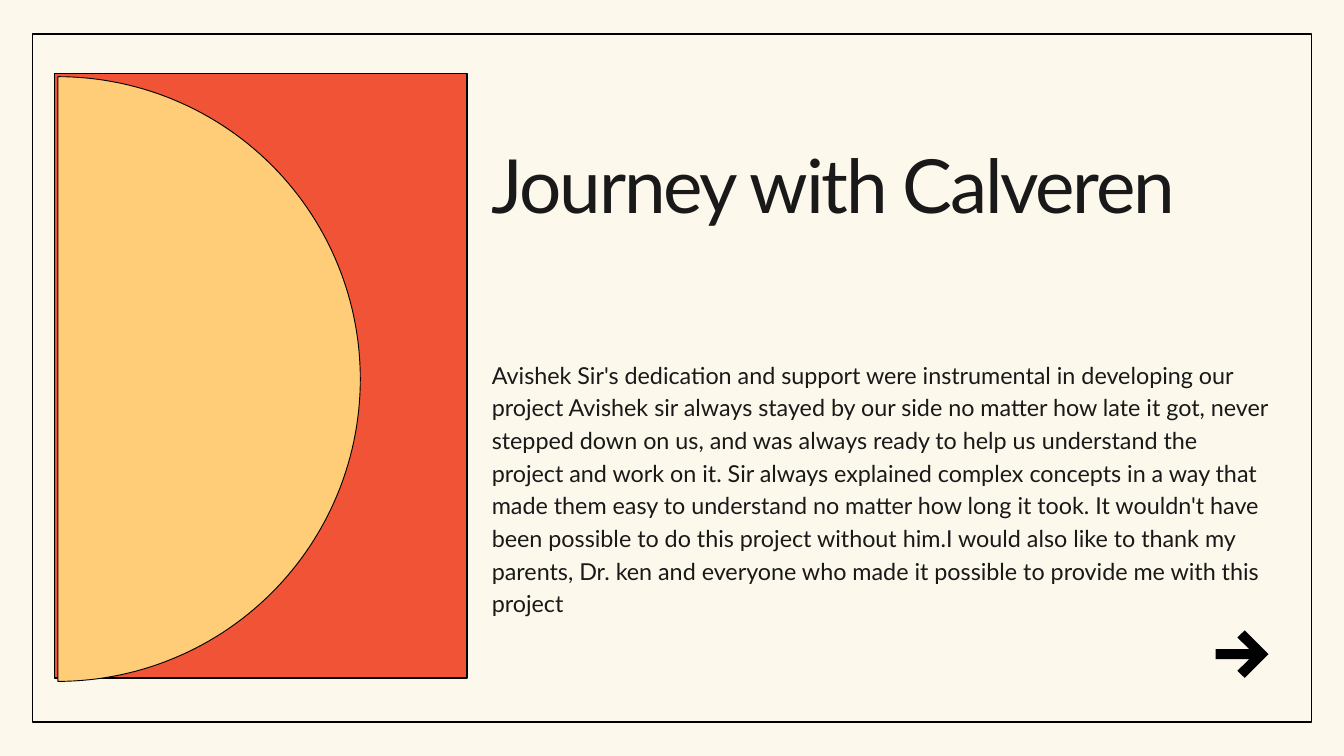
from math import cos, pi, sin

from pptx import Presentation
from pptx.dml.color import RGBColor
from pptx.enum.shapes import MSO_SHAPE
from pptx.enum.text import MSO_ANCHOR, MSO_AUTO_SIZE, PP_ALIGN
from pptx.oxml.ns import qn
from pptx.util import Cm, Pt

CREAM = RGBColor(0xFD, 0xF8, 0xEC)
RED = RGBColor(0xF0, 0x53, 0x35)
YELLOW = RGBColor(0xFF, 0xCD, 0x78)
BLACK = RGBColor(0, 0, 0)
INK = RGBColor(0x19, 0x19, 0x19)
FONT = "Lato"

HEADING = "Journey with Calveren"
THANKS = (
    "Avishek Sir's dedication and support were instrumental in developing our "
    "project Avishek sir always stayed by our side no matter how late it got, "
    "never stepped down on us, and was always ready to help us understand the "
    "project and work on it. Sir always explained complex concepts in a way "
    "that made them easy to understand no matter how long it took. It wouldn't "
    "have been possible to do this project without him.I would also like to "
    "thank my parents, Dr. ken and everyone who made it possible to provide me "
    "with this project"
)


def paint(shape, fill, line_width=None):
    shape.shadow.inherit = False
    shape.fill.solid()
    shape.fill.fore_color.rgb = fill
    if line_width is None:
        shape.line.fill.background()
    else:
        shape.line.color.rgb = BLACK
        shape.line.width = Pt(line_width)


def add_rectangle(slide, left, top, width, height, fill):
    rectangle = slide.shapes.add_shape(
        MSO_SHAPE.RECTANGLE, Cm(left), Cm(top), Cm(width), Cm(height))
    paint(rectangle, fill, 1.5)


def add_polygon(slide, left, top, points, fill, line_width=None):
    """Draw a closed outline from points relative to left and top."""
    outline = [(Cm(left + x), Cm(top + y)) for x, y in points]
    builder = slide.shapes.build_freeform(*outline[0])
    builder.add_line_segments(outline[1:], close=True)
    paint(builder.convert_to_shape(), fill, line_width)


def add_artwork(slide, left, top, width, height):
    """Red panel with a half disc as tall as the panel."""
    add_rectangle(slide, left, top, width, height, RED)
    radius, steps = height / 2, 120
    angles = [pi * step / steps - pi / 2 for step in range(steps + 1)]
    half_disc = [(radius * cos(a), radius * (1 + sin(a))) for a in angles]
    add_polygon(slide, left + 0.13, top + 0.13, half_disc, YELLOW, 1)


def add_next_arrow(slide, left, top, width, height):
    """Arrow pointing right, mirrored about its middle line."""
    middle, shaft = height / 2, 0.19
    upper = [(0, middle - shaft), (1.27, middle - shaft),
             (0.82, 0.27), (1.1, 0)]
    lower = [(x, height - y) for x, y in reversed(upper)]
    add_polygon(slide, left, top, upper + [(width, middle)] + lower, BLACK)


def fill_placeholder(holder, box, text, size, leading, tracking=None):
    holder.left, holder.top, holder.width, holder.height = map(Cm, box)
    # Bring the text in front of the shapes
    holder.element.getparent().append(holder.element)
    frame = holder.text_frame
    frame.text = text
    frame.word_wrap = True
    frame.auto_size = MSO_AUTO_SIZE.NONE
    frame.vertical_anchor = MSO_ANCHOR.TOP
    frame.margin_left = frame.margin_right = 0
    frame.margin_top = frame.margin_bottom = 0
    paragraph = frame.paragraphs[0]
    paragraph.alignment = PP_ALIGN.LEFT
    paragraph.line_spacing = Pt(leading)
    paragraph.space_before = Pt(0)
    # No bullet, no indent
    properties = paragraph._p.get_or_add_pPr()
    properties.set("marL", "0")
    properties.set("indent", "0")
    properties.append(properties.makeelement(qn("a:buNone"), {}))
    run = paragraph.runs[0]
    run.font.name = FONT
    run.font.size = Pt(size)
    run.font.color.rgb = INK
    if tracking is not None:
        run.font._element.set("spc", str(round(tracking * 100)))


def add_message(slide, left, top, width, height):
    """Heading at the top of the box, thanks below it."""
    body_offset = 7.92
    fill_placeholder(slide.shapes.title, (left, top, width, 6.32),
                     HEADING, 80, 88, tracking=-2.4)
    fill_placeholder(slide.placeholders[1],
                     (left, top + body_offset, width, height - body_offset),
                     THANKS, 25, 35)


def main():
    deck = Presentation()
    deck.slide_width, deck.slide_height = Cm(50.8), Cm(28.58)
    slide = deck.slides.add_slide(deck.slide_layouts[1])
    slide.background.fill.solid()
    slide.background.fill.fore_color.rgb = CREAM

    # Border
    add_rectangle(slide, 1.22, 1.28, 48.36, 26.01, CREAM)
    add_artwork(slide, 2.06, 2.77, 15.6, 22.86)
    add_next_arrow(slide, 45.95, 23.83, 2, 1.8)
    add_message(slide, 18.59, 5.54, 29.34, 17.57)
    deck.save("out.pptx")


if __name__ == "__main__":
    main()
